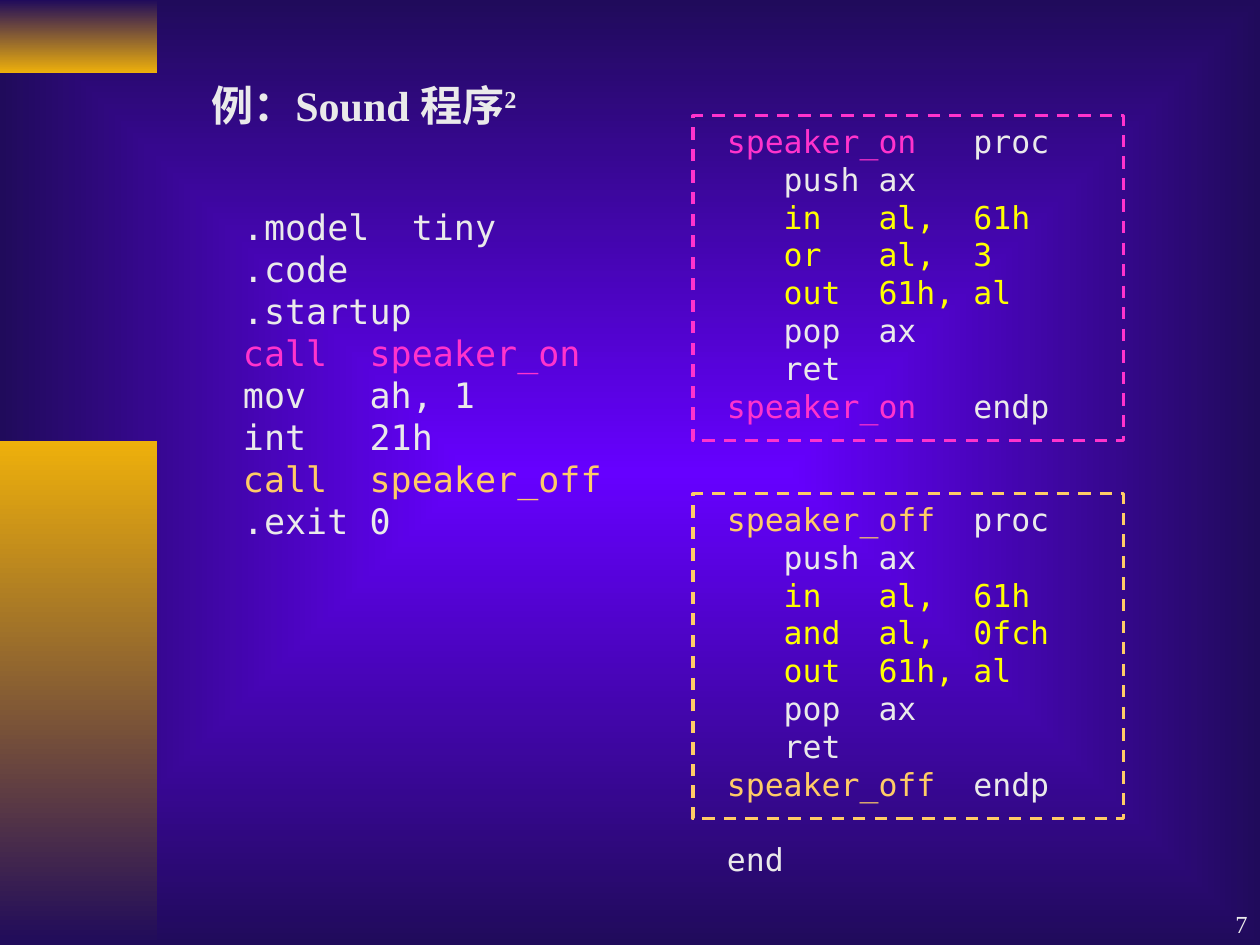
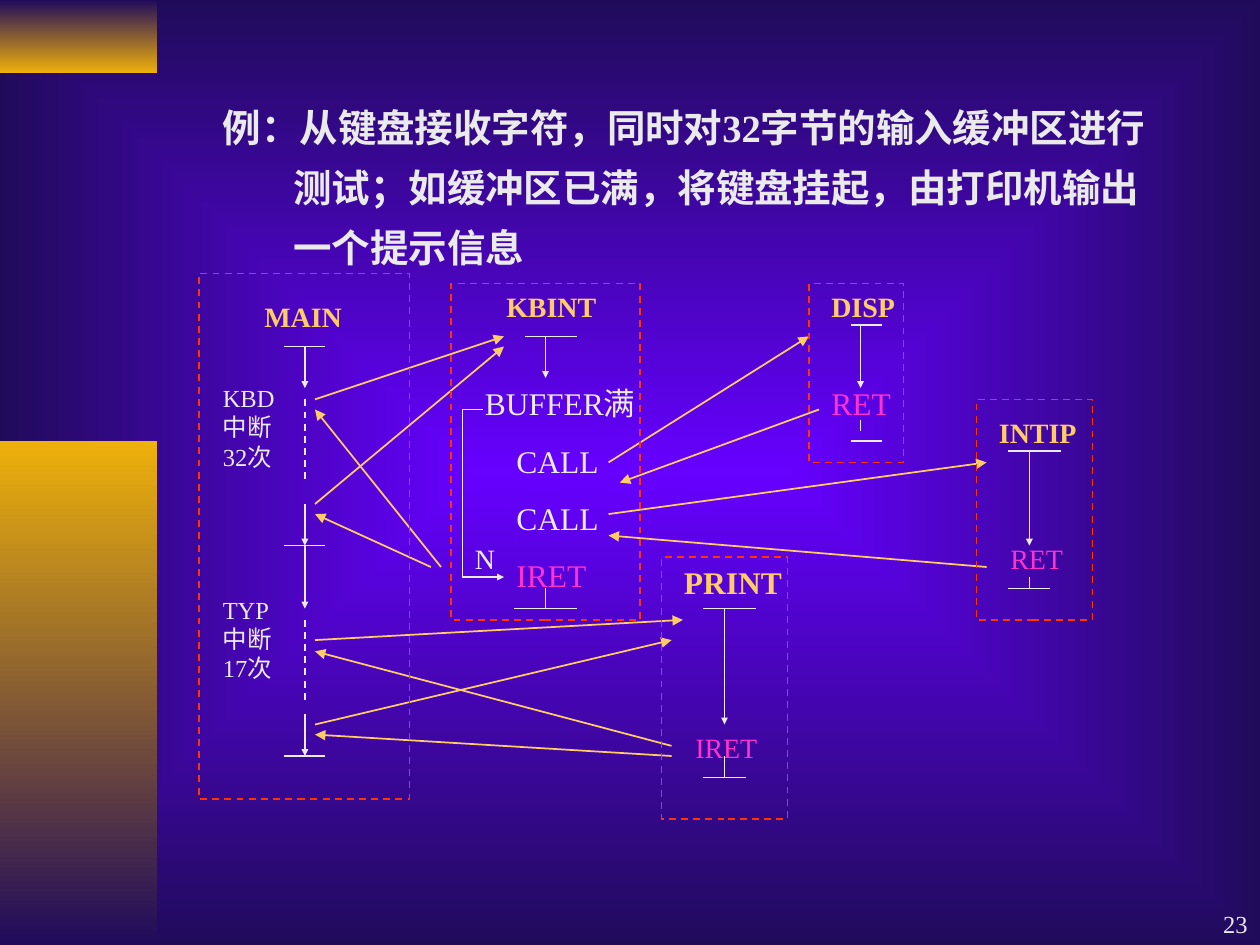
from lxml import etree
from pptx import Presentation
from pptx.dml.color import RGBColor
from pptx.enum.dml import MSO_LINE
from pptx.enum.shapes import MSO_CONNECTOR, MSO_SHAPE
from pptx.enum.text import MSO_ANCHOR, PP_ALIGN
from pptx.oxml.ns import qn
from pptx.util import Inches, Pt

STRAIGHT = MSO_CONNECTOR.STRAIGHT
RECTANGLE = MSO_SHAPE.RECTANGLE
DASH = MSO_LINE.DASH
JUSTIFY, RIGHT, BOTTOM = PP_ALIGN.JUSTIFY, PP_ALIGN.RIGHT, MSO_ANCHOR.BOTTOM

WHITE = RGBColor(0xEA, 0xEA, 0xEA)
PINK = RGBColor(0xFF, 0x33, 0xCC)
AMBER = RGBColor(0xFF, 0xCC, 0x66)
YELLOW = RGBColor(0xFF, 0xFF, 0x00)
RED = RGBColor(0xFF, 0x33, 0x00)
VIOLET = RGBColor(0x66, 0x00, 0xFF)
NAVY = RGBColor(0x20, 0x0B, 0x5B)
GOLD = RGBColor(0xEE, 0xB0, 0x0B)

SERIF = "Times New Roman"
MONO = "DejaVu Sans Mono"

# Shared side bands: top, height, upper colour, lower colour
BANDS = [(0, 0.58, NAVY, GOLD), (3.5, 4, GOLD, NAVY)]

# Sound program: a line is a list of (text, colour) segments
MAIN_CODE = [
    [(".model  tiny", WHITE)],
    [(".code", WHITE)],
    [(".startup", WHITE)],
    [("call  speaker_on", PINK)],
    [("mov   ah, 1", WHITE)],
    [("int   21h", WHITE)],
    [("call  speaker_off", AMBER)],
    [(".exit 0", WHITE)],
]
# name, colour, top, instruction that changes the speaker bits
PROCEDURES = [
    ("speaker_on", PINK, 0.92, "or   al,  3"),
    ("speaker_off", AMBER, 3.92, "and  al,  0fch"),
]

# Keyboard example
TASK_LINES = [
    "例：从键盘接收字符，同时对32字节的输入缓冲区进行",
    "测试；如缓冲区已满，将键盘挂起，由打印机输出",
    "一个提示信息",
]
# text, left, top, width, size, colour, bold
LABELS = [
    ("MAIN", 2, 2.33, 1, 16, AMBER, True),
    ("KBINT", 3.92, 2.25, 1, 16, AMBER, True),
    ("DISP", 6.5, 2.25, 1, 16, AMBER, True),
    ("INTIP", 7.83, 3.25, 0.83, 16, AMBER, True),
    ("PRINT", 5.33, 4.42, 1.08, 18, AMBER, True),
    ("N", 3.67, 4.25, 0.33, 16, WHITE, False),
    ("RET", 6.5, 3, 1.08, 18, PINK, False),
    ("RET", 7.92, 4.25, 0.92, 16, PINK, False),
    ("IRET", 5.42, 5.75, 0.92, 16, PINK, False),
    ("KBD中断32次", 1.67, 2.99, 0.67, 14, WHITE, False),
    ("TYP中断17次", 1.67, 4.67, 0.67, 14, WHITE, False),
]
KBINT_STEPS = [("BUFFER满", WHITE), ("CALL", WHITE), ("CALL", WHITE), ("IRET", PINK)]
# Horizontal bars: left, right, y
BARS = [
    (2.25, 2.58, 2.75), (2.25, 2.58, 4.33), (2.25, 2.58, 6),
    (4.17, 4.58, 2.67), (3.67, 3.83, 3.25), (4.08, 4.58, 4.83),
    (5.58, 6, 4.83), (5.58, 5.92, 6.17),
    (6.75, 7, 2.58), (6.75, 7, 3.5),
    (8, 8.42, 3.58), (8, 8.33, 4.67),
]
# Vertical lines: x, top, bottom
FLOW_ARROWS = [
    (2.42, 2.75, 3.08), (2.42, 4, 4.33), (2.42, 4.33, 4.83), (2.42, 5.67, 6),
    (4.33, 2.67, 3), (5.75, 4.83, 5.75), (6.83, 2.58, 3.08), (8.17, 3.58, 4.33),
]
STEMS = [
    (3.67, 3.25, 4.58), (4.33, 4.67, 4.83), (5.75, 6, 6.17),
    (6.83, 3.33, 3.42), (8.17, 4.58, 4.67),
]
WAITS = [(2.42, 3.17, 3.83), (2.42, 4.92, 5.58)]
SKIP_ARROW = (3.67, 4.58, 4, 4.58)
# Calls and returns between routines: x1, y1, x2, y2
TRANSFERS = [
    (2.5, 3.17, 4, 2.67), (3.5, 4.5, 2.5, 3.25),
    (2.5, 4, 4, 2.75), (3.42, 4.5, 2.5, 4.08),
    (2.5, 5.08, 5.42, 4.92), (5.33, 5.92, 2.5, 5.17),
    (2.5, 5.75, 5.33, 5.08), (5.33, 6, 2.5, 5.83),
    (4.83, 3.67, 6.42, 2.67), (6.5, 3.25, 4.92, 3.83),
    (4.83, 4.08, 7.83, 3.67), (7.83, 4.5, 4.83, 4.25),
]
# Routine frames: left, top, width, height
FRAMES = [
    (1.58, 2.17, 1.67, 4.17), (5.25, 4.42, 1, 2.08), (6.42, 2.25, 0.75, 1.42),
    (7.75, 3.17, 0.92, 1.75), (3.58, 2.25, 1.5, 2.67),
]


def set_gradient(fill, first, last):
    fill.gradient()
    for stop, color, position in zip(fill.gradient_stops, (first, last), (0, 1)):
        stop.color.rgb = color
        stop.position = position


def set_background(master):
    """Gradient running from the centre of the slide to its edges."""
    set_gradient(master.background.fill, VIOLET, NAVY)
    linear = next(master.element.cSld.iter(qn("a:lin")))
    path = etree.Element(qn("a:path"), path="rect")
    etree.SubElement(path, qn("a:fillToRect"), l="50000", t="50000", r="50000", b="50000")
    linear.getparent().replace(linear, path)


def add_text(slide, box, lines, size, font=SERIF, bold=False):
    """Add a text box; each line is a list of (text, colour) segments."""
    text_frame = slide.shapes.add_textbox(*map(Inches, box)).text_frame
    text_frame.word_wrap = True
    for index, segments in enumerate(lines):
        paragraph = text_frame.paragraphs[0] if index == 0 else text_frame.add_paragraph()
        for text, color in segments:
            run = paragraph.add_run()
            run.text = text
            run.font.name = font
            run.font.size = Pt(size)
            run.font.bold = bold
            run.font.color.rgb = color
    return text_frame


def add_code(slide, box, lines, size):
    for paragraph in add_text(slide, box, lines, size, MONO).paragraphs:
        paragraph.alignment = JUSTIFY


def add_frame(slide, box, color, width):
    frame = slide.shapes.add_shape(RECTANGLE, *map(Inches, box))
    frame.shadow.inherit = False
    frame.fill.background()
    frame.line.color.rgb = color
    frame.line.width = Pt(width)
    frame.line.dash_style = DASH


def add_line(slide, ends, color=WHITE, head=None, dashed=False):
    """Add a line; head is the size of its arrowhead."""
    connector = slide.shapes.add_connector(STRAIGHT, *map(Inches, ends))
    connector.line.color.rgb = color
    connector.line.width = Pt(1)
    if dashed:
        connector.line.dash_style = DASH
    properties = connector.element.spPr
    if head:
        outline = properties.find(qn("a:ln"))
        etree.SubElement(outline, qn("a:tailEnd"), type="triangle", w=head, len=head)
    etree.SubElement(properties, qn("a:effectLst"))


def add_slide(presentation, number):
    slide = presentation.slides.add_slide(presentation.slide_layouts[6])
    for top, height, upper, lower in BANDS:
        band = slide.shapes.add_shape(RECTANGLE, 0, Inches(top), Inches(1.25), Inches(height))
        band.shadow.inherit = False
        band.line.fill.background()
        set_gradient(band.fill, upper, lower)
        band.fill.gradient_angle = 270
    text_frame = add_text(slide, (7.92, 7, 2.08, 0.5), [[(number, WHITE)]], 14)
    text_frame.vertical_anchor = BOTTOM
    text_frame.paragraphs[0].alignment = RIGHT
    return slide


def procedure_lines(name, color, change):
    def edge(keyword):
        return [(name, color), (keyword.rjust(13 - len(name) + 4), WHITE)]

    body = [("push ax", WHITE), ("in   al,  61h", YELLOW), (change, YELLOW),
            ("out  61h, al", YELLOW), ("pop  ax", WHITE), ("ret", WHITE)]
    return [edge("proc"), *[[("   " + text, shade)] for text, shade in body], edge("endp")]


def build_sound_slide(presentation):
    slide = add_slide(presentation, "7")
    title = [("例：Sound 程序", WHITE), ("2", WHITE)]
    text_frame = add_text(slide, (1.58, 0.58, 2.83, 0.9), [title], 24, bold=True)
    text_frame.paragraphs[0].runs[1].font._element.set("baseline", "30000")

    add_code(slide, (1.83, 1.58, 3.5, 2.77), MAIN_CODE, 20)
    for name, color, top, change in PROCEDURES:
        add_code(slide, (5.67, top, 3.25, 2.5), procedure_lines(name, color, change), 18)
        add_frame(slide, (5.5, top, 3.42, 2.58), color, 1.75)
    add_code(slide, (5.67, 6.62, 3.25, 0.4), [[("end", WHITE)]], 18)


def build_keyboard_slide(presentation):
    slide = add_slide(presentation, "23")
    task = [[(line, WHITE)] for line in TASK_LINES]
    text_frame = add_text(slide, (1.67, 0.67, 7.75, 1.53), task, 22, bold=True)
    for index, paragraph in enumerate(text_frame.paragraphs):
        paragraph.line_spacing = 1.3
        if index:
            paragraph._p.get_or_add_pPr().set("marL", str(Inches(0.56)))

    # Labels and the steps of the keyboard routine
    for text, left, top, width, size, color, bold in LABELS:
        add_text(slide, (left, top, width, 0.37), [[(text, color)]], size, bold=bold)
    steps = add_text(slide, (3.75, 3, 1.75, 1.77), [[step] for step in KBINT_STEPS], 18)
    for paragraph in steps.paragraphs[1:]:
        paragraph.space_before = Pt(11.2)
        paragraph._p.get_or_add_pPr().set("marL", str(Inches(0.25)))

    # Flow inside each routine
    for left, right, y in BARS:
        add_line(slide, (left, y, right, y))
    for group, head, dashed in ((FLOW_ARROWS, "sm", False), (STEMS, None, False),
                                (WAITS, None, True)):
        for x, top, bottom in group:
            add_line(slide, (x, top, x, bottom), head=head, dashed=dashed)
    add_line(slide, SKIP_ARROW, head="sm")

    # Transfers between routines, then their frames
    for ends in TRANSFERS:
        add_line(slide, ends, AMBER, head="med")
    for box in FRAMES:
        add_frame(slide, box, RED, 1)


def main():
    presentation = Presentation()
    presentation.slide_width = Inches(10)
    presentation.slide_height = Inches(7.5)
    set_background(presentation.slide_master)
    build_sound_slide(presentation)
    build_keyboard_slide(presentation)
    presentation.save("out.pptx")


if __name__ == "__main__":
    main()
